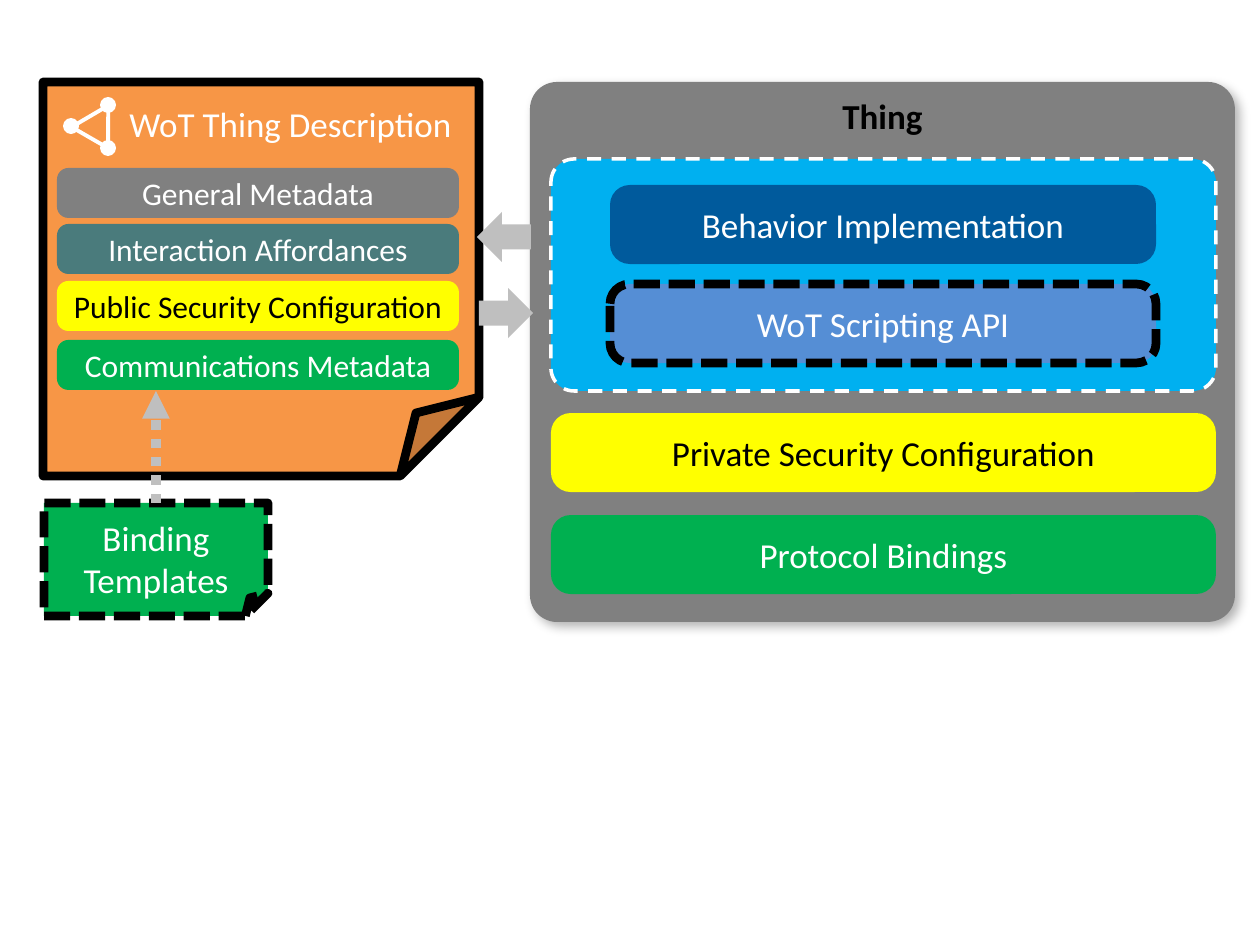
"""Build a slide that relates a WoT Thing Description to the building blocks of a Thing."""
from dataclasses import dataclass
from typing import Optional

from lxml import etree
from pptx import Presentation
from pptx import util as u
from pptx.dml.color import RGBColor
from pptx.enum import dml, shapes, text
from pptx.oxml.ns import qn

PX = u.Inches(1) / 126
SHAPE = shapes.MSO_SHAPE
DASH = dml.MSO_LINE


@dataclass(frozen=True)
class Theme:
    """Colours, font and type sizes of the slide."""
    font: str = "Calibri"
    label: int = 20
    small: int = 18
    border: float = 5
    black: str = "000000"
    white: str = "FFFFFF"
    grey: str = "808080"
    arrow: str = "BFBFBF"
    orange: str = "F79646"
    yellow: str = "FFFF00"
    green: str = "00B050"
    teal: str = "4A7B7C"
    sky: str = "00B0F0"
    navy: str = "005A9C"
    blue: str = "558ED5"


T = Theme()


@dataclass(frozen=True)
class Outline:
    """Colour, width in points and dash of a line."""
    color: str
    width: float
    dash: Optional[dml.MSO_LINE] = None


@dataclass(frozen=True)
class Bar:
    """A labelled rounded bar."""
    label: str
    box: tuple[int, int, int, int]
    fill: str
    color: str = T.white
    size: int = T.label
    adj: float = 0.25
    outline: Optional[Outline] = None


SOLID = Outline(T.black, T.border)
DASHED = Outline(T.black, T.border, DASH.SQUARE_DOT)

METADATA = [
    Bar(label, (57, top, 402, 50), fill, color, T.small, 0.23)
    for label, top, fill, color in (
        ("General Metadata", 168, T.grey, T.white),
        ("Interaction Affordances", 224, T.teal, T.white),
        ("Public Security Configuration", 281, T.yellow, T.black),
        ("Communications Metadata", 340, T.green, T.white),
    )
]
THING_PARTS = [
    Bar("Behavior Implementation", (610, 185, 546, 79), T.navy),
    Bar("WoT Scripting API", (610, 284, 546, 79), T.blue, outline=DASHED),
    Bar("Private Security Configuration", (551, 413, 665, 79), T.yellow, T.black),
    Bar("Protocol Bindings", (551, 515, 665, 79), T.green),
]


def px(n: float) -> int:
    """Turn px into EMU."""
    return round(n * PX)


def set_line(line, outline: Optional[Outline]) -> None:
    """Apply an outline, or hide the line."""
    if outline is None:
        line.fill.background()
        return
    line.color.rgb = RGBColor.from_string(outline.color)
    line.width = u.Pt(outline.width)
    if outline.dash:
        line.dash_style = outline.dash


def set_adjustment(sp, value: float) -> None:
    """Set the one adjustment of a preset, also where python-pptx lists none."""
    guides = sp._element.spPr.find(qn("a:prstGeom")).get_or_add_avLst()
    for guide in list(guides):
        guides.remove(guide)
    etree.SubElement(guides, qn("a:gd"), name="adj", fmla=f"val {round(value * 100000)}")


def add_shape(parent, kind, box: tuple[int, int, int, int], fill: Optional[str] = None,
              outline: Optional[Outline] = None, adj: Optional[float] = None, rotation: int = 0):
    """Draw a flat preset shape."""
    sp = parent.add_shape(kind, *map(px, box))
    if adj is not None:
        set_adjustment(sp, adj)
    sp.rotation = rotation
    if fill:
        sp.fill.solid()
        sp.fill.fore_color.rgb = RGBColor.from_string(fill)
    else:
        sp.fill.background()
    set_line(sp.line, outline)
    sp.shadow.inherit = False
    return sp


def write(sp, label: str, *, size: int = T.label, color: str = T.white, bold: bool = False,
          anchor=text.MSO_ANCHOR.MIDDLE, insets: tuple[int, int, int, int] = (13, 6, 13, 6)) -> None:
    """Put centred text in a shape."""
    tf = sp.text_frame
    tf.word_wrap = False
    tf.vertical_anchor = anchor
    tf.margin_left, tf.margin_top, tf.margin_right, tf.margin_bottom = map(px, insets)
    p = tf.paragraphs[0]
    p.text = label
    p.alignment = text.PP_ALIGN.CENTER
    for r in p.runs:
        r.font.name = T.font
        r.font.size = u.Pt(size)
        r.font.bold = bold
        r.font.color.rgb = RGBColor.from_string(color)


def add_bar(parent, bar: Bar) -> None:
    """Draw a labelled bar."""
    sp = add_shape(parent, SHAPE.ROUNDED_RECTANGLE, bar.box, bar.fill, bar.outline, bar.adj)
    write(sp, bar.label, size=bar.size, color=bar.color)


def add_shadow(sp) -> None:
    """Cast a soft shadow down and to the right."""
    effects = sp._element.spPr.find(qn("a:effectLst"))
    shadow = etree.SubElement(effects, qn("a:outerShdw"), blurRad=str(u.Pt(6)),
                              dist=str(u.Pt(4)), dir=str(45 * 60000), algn="tl", rotWithShape="0")
    color = etree.SubElement(shadow, qn("a:srgbClr"), val=T.black)
    etree.SubElement(color, qn("a:alpha"), val="30000")


def add_arrow(parent, start: tuple[int, int], end: tuple[int, int], outline: Outline) -> None:
    """Draw a straight line with an arrowhead at its end."""
    line = parent.add_connector(shapes.MSO_CONNECTOR.STRAIGHT, *map(px, start + end))
    set_line(line.line, outline)
    etree.SubElement(line._element.spPr.find(qn("a:ln")), qn("a:tailEnd"), type="triangle")
    etree.SubElement(line._element.spPr, qn("a:effectLst"))


def add_node_icon(parent) -> None:
    """Draw three linked nodes as one group."""
    group = parent.add_group_shape().shapes
    add_shape(group, SHAPE.ISOSCELES_TRIANGLE, (78, 103, 42, 37),
              outline=Outline(T.white, 2.25), rotation=30)
    for left, top in ((100, 97), (63, 118), (100, 140)):
        add_shape(group, SHAPE.OVAL, (left, top, 16, 16), T.white)


def main() -> None:
    """Build and save the slide."""
    prs = Presentation()
    prs.slide_width, prs.slide_height = px(1260), px(945)
    s = prs.slides.add_slide(prs.slide_layouts[6]).shapes

    thing = add_shape(s, SHAPE.ROUNDED_RECTANGLE, (530, 82, 705, 540), T.grey, adj=0.05)
    write(thing, "Thing", color=T.black, bold=True, anchor=text.MSO_ANCHOR.TOP, insets=(13, 5, 13, 10))
    add_shadow(thing)
    add_shape(s, SHAPE.ROUNDED_RECTANGLE, (551, 159, 665, 232), T.sky,
              Outline(T.white, 2, DASH.DASH), 0.1)

    description = add_shape(s, SHAPE.FOLDED_CORNER, (43, 82, 436, 394), T.orange, SOLID, 0.2)
    write(description, "WoT Thing Description", anchor=text.MSO_ANCHOR.TOP, insets=(59, 20, 0, 0))
    add_node_icon(s)

    templates = add_shape(s, SHAPE.FOLDED_CORNER, (44, 503, 224, 113), T.green, DASHED, 0.2)
    write(templates, "Binding\nTemplates", insets=(0, 20, 0, 0))

    for bar in METADATA + THING_PARTS:
        add_bar(s, bar)

    add_arrow(s, (156, 503), (156, 391), Outline(T.arrow, 5.25, DASH.ROUND_DOT))
    for left, top, rotation in ((479, 210, 90), (481, 286, 270)):
        add_shape(s, SHAPE.DOWN_ARROW, (left, top, 50, 54), T.arrow, rotation=rotation)

    prs.save("out.pptx")


if __name__ == "__main__":
    main()
